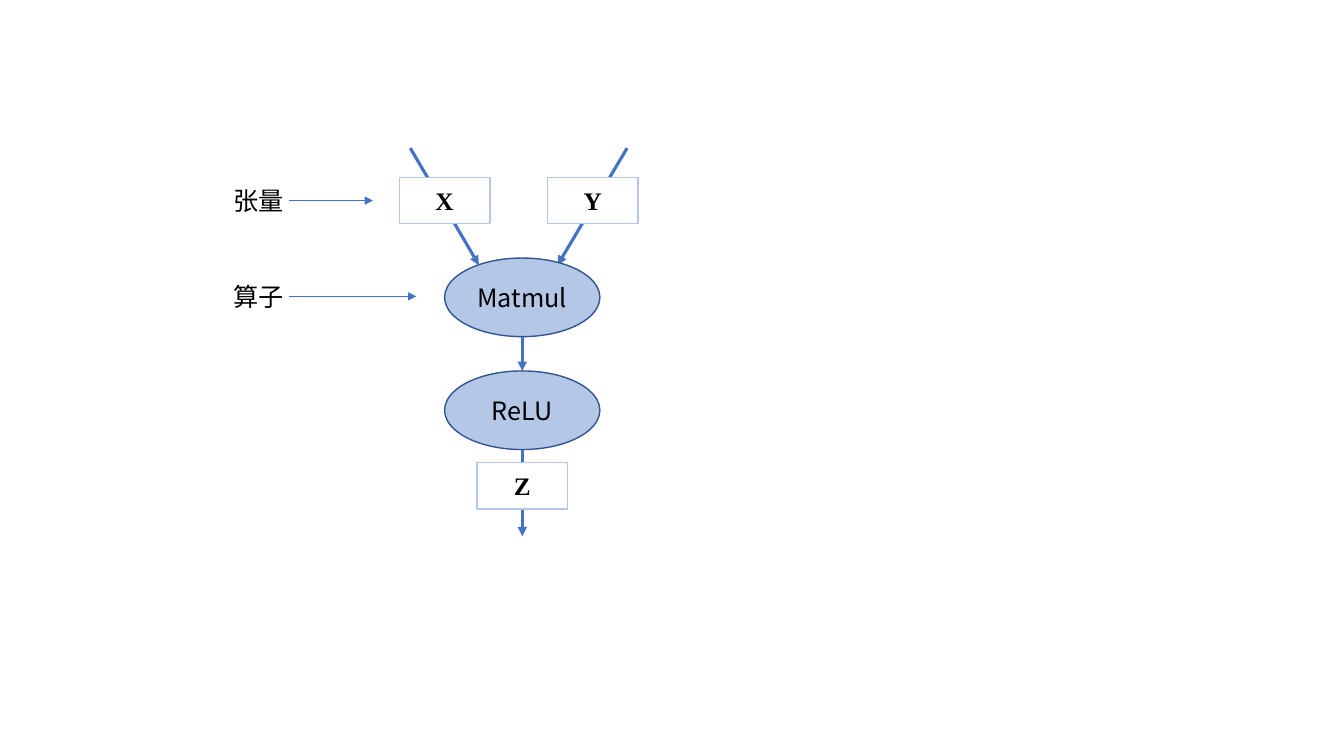
from dataclasses import dataclass

from lxml import etree
from pptx import Presentation
from pptx.dml.color import RGBColor
from pptx.enum.shapes import MSO_CONNECTOR, MSO_SHAPE
from pptx.enum.text import MSO_ANCHOR, MSO_AUTO_SIZE, PP_ALIGN
from pptx.oxml.ns import qn
from pptx.util import Inches, Pt

RECT, OVAL = MSO_SHAPE.RECTANGLE, MSO_SHAPE.OVAL
STRAIGHT = MSO_CONNECTOR.STRAIGHT
LEFT, CENTER = PP_ALIGN.LEFT, PP_ALIGN.CENTER
MIDDLE = MSO_ANCHOR.MIDDLE
GROW = MSO_AUTO_SIZE.SHAPE_TO_FIT_TEXT
TOP = 0


@dataclass(frozen=True)
class Theme:
    text: str = "000000"
    arrow: str = "4472C4"
    tensor_fill: str = "FFFFFF"
    tensor_line: str = "B4C7E7"
    op_fill: str = "B4C7E7"
    op_line: str = "325491"
    font: str = "Noto Sans CJK SC"
    tensor_font: str = "Times New Roman"
    size: float = 18
    thin: float = 1
    thick: float = 2.25


THEME = Theme()
TENSOR_W, TENSOR_H = 0.9, 0.46
OP_W, OP_H = 1.54, 0.78


def rgb(value):
    return RGBColor.from_string(value)


def set_text(sp, text, font=THEME.font, bold=False, align=CENTER):
    p = sp.text_frame.paragraphs[0]
    p.alignment = align
    r = p.add_run()
    r.text = text
    r.font.name, r.font.size, r.font.bold = font, Pt(THEME.size), bold
    r.font.color.rgb = rgb(THEME.text)
    etree.SubElement(r.font._element, qn("a:ea"), typeface=font)


def add_node(shapes, kind, cx, top, w, h, fill, line, text, **fmt):
    """Add a labelled shape centred on cx."""
    sp = shapes.add_shape(kind, Inches(cx - w / 2), Inches(top), Inches(w), Inches(h))
    sp.shadow.inherit = False
    sp.fill.solid()
    sp.fill.fore_color.rgb = rgb(fill)
    sp.line.color.rgb = rgb(line)
    sp.line.width = Pt(THEME.thin)
    sp.text_frame.vertical_anchor = MIDDLE
    set_text(sp, text, **fmt)
    return sp


def add_tensor(shapes, cx, top, text):
    return add_node(shapes, RECT, cx, top, TENSOR_W, TENSOR_H, THEME.tensor_fill,
                    THEME.tensor_line, text, font=THEME.tensor_font, bold=True)


def add_operator(shapes, cx, top, text):
    return add_node(shapes, OVAL, cx, top, OP_W, OP_H, THEME.op_fill,
                    THEME.op_line, text)


def add_arrow(shapes, x1, y1, x2, y2, width=THEME.thick):
    cxn = shapes.add_connector(STRAIGHT, Inches(x1), Inches(y1), Inches(x2), Inches(y2))
    cxn.line.color.rgb = rgb(THEME.arrow)
    cxn.line.width = Pt(width)
    etree.SubElement(cxn.line._get_or_add_ln(), qn("a:tailEnd"), type="triangle")
    etree.SubElement(cxn._element.spPr, qn("a:effectLst"))
    return cxn


def add_graph(shapes, left, top):
    """Place the computation graph with its upper left corner at left, top."""
    cx = left + 1.22
    matmul_y, relu_y = top + 1.09, top + 2.21

    # Inputs
    for start, tip, box, name in ((0.11, 0.79, 0.45, "X"), (2.26, 1.57, 1.92, "Y")):
        add_arrow(shapes, left + start, top, left + tip, top + 1.16)
        add_tensor(shapes, left + box, top + 0.29, name)

    # Operators
    add_operator(shapes, cx, matmul_y, "Matmul")
    relu = add_operator(shapes, cx, relu_y, "ReLU")
    add_arrow(shapes, cx, matmul_y + OP_H, cx, relu_y).end_connect(relu, TOP)

    # Output
    add_arrow(shapes, cx, relu_y + OP_H, cx, top + 3.85)
    add_tensor(shapes, cx, top + 3.12, "Z")


def add_legend(shapes, left, top):
    """Place the row labels and the thin arrows that point to the graph."""
    for row, (text, tip) in enumerate((("张量", 1.48), ("算子", 1.91))):
        y = top + row * 0.95
        add_arrow(shapes, left + 0.65, y + 0.2, left + tip, y + 0.2, THEME.thin)
        sp = shapes.add_textbox(Inches(left), Inches(y), Inches(1.14), Inches(0.4))
        sp.text_frame.word_wrap = True
        sp.text_frame.auto_size = GROW
        set_text(sp, text, align=LEFT)


def main():
    prs = Presentation()
    prs.slide_width, prs.slide_height = Inches(13.33), Inches(7.5)
    slide = prs.slides.add_slide(prs.slide_layouts[6])
    shapes = slide.shapes.add_group_shape().shapes
    add_graph(shapes, 3.96, 1.47)
    add_legend(shapes, 2.22, 1.79)
    prs.save("out.pptx")


if __name__ == "__main__":
    main()
